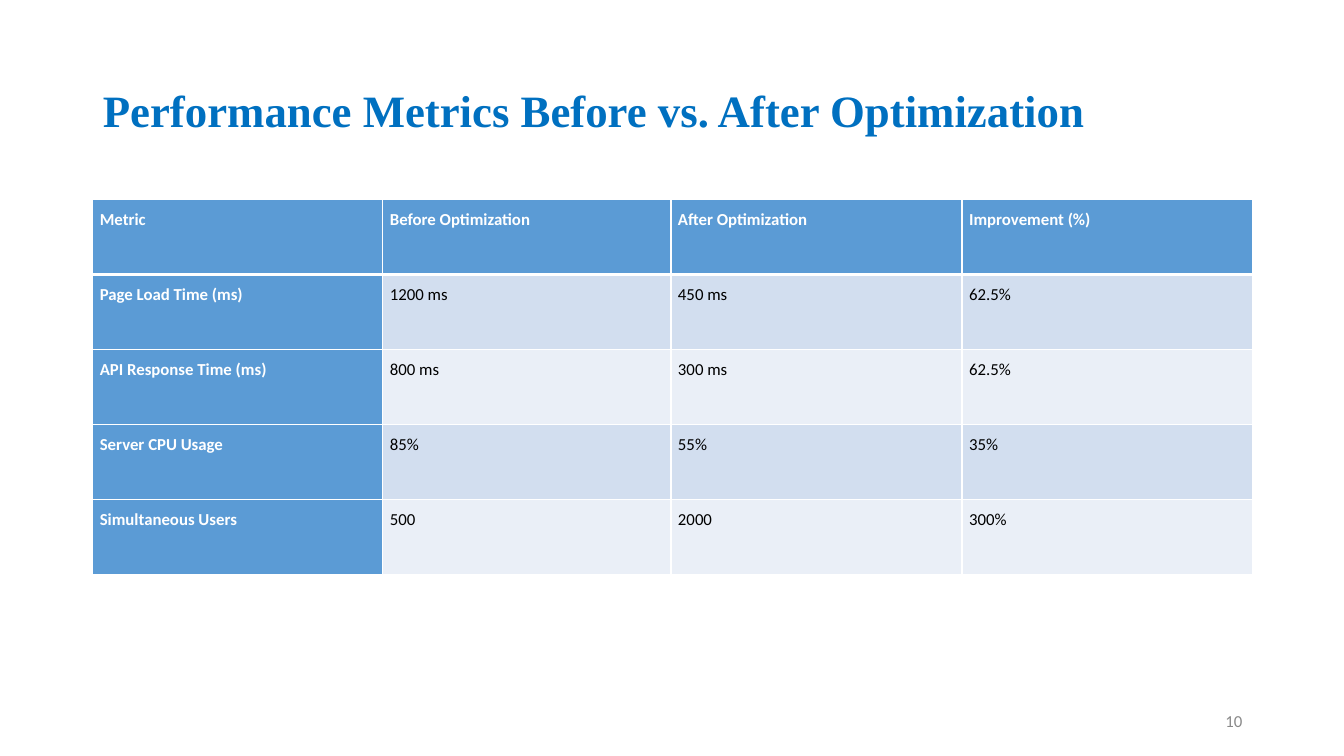
from lxml.etree import SubElement
from pptx import Presentation
from pptx.dml.color import RGBColor
from pptx.enum.text import MSO_ANCHOR as Anchor, MSO_AUTO_SIZE as AutoSize, PP_ALIGN as Align
from pptx.oxml.ns import qn
from pptx.util import Inches, Pt

BLUE, WHITE, BLACK = "5B9BD5", "FFFFFF", "000000"
BANDS = ("D2DEEF", "EAEFF7")
COLUMN_WIDTHS = (2.88, 2.86, 2.89, 2.88)
METRICS = (
    ("Metric", "Before Optimization", "After Optimization", "Improvement (%)"),
    ("Page Load Time (ms)", "1200 ms", "450 ms", "62.5%"),
    ("API Response Time (ms)", "800 ms", "300 ms", "62.5%"),
    ("Server CPU Usage", "85%", "55%", "35%"),
    ("Simultaneous Users", "500", "2000", "300%"),
)


def color(hex_code):
    return RGBColor.from_string(hex_code)


def write(frame, text, size=12, font="Calibri", ink=BLACK, bold=False,
          align=Align.LEFT, spacing=1.0, after=0):
    frame.word_wrap = True
    para = frame.paragraphs[0]
    para.alignment = align
    para.line_spacing = spacing
    para.space_before, para.space_after = Pt(0), Pt(after)
    span = para.add_run()
    span.text = text
    span.font.size, span.font.name, span.font.bold = Pt(size), font, bold
    span.font.color.rgb = color(ink)


def add_border(cell, side, width):
    line = SubElement(cell._tc.get_or_add_tcPr(), qn(f"a:{side}"), w=str(Pt(width)))
    fill = SubElement(line, qn("a:solidFill"))
    SubElement(fill, qn("a:srgbClr"), val=WHITE)


def add_title(page, left, top, width, height):
    title = page.shapes.title
    title.left, title.top = Inches(left), Inches(top)
    title.width, title.height = Inches(width), Inches(height)
    frame = title.text_frame
    frame.auto_size, frame.vertical_anchor = AutoSize.NONE, Anchor.MIDDLE
    write(frame, "Performance Metrics Before vs. After Optimization", size=32,
          font="Times New Roman", ink="0070C0", bold=True, spacing=0.9)


def format_cell(cell, text, row, column):
    is_header = row == 0 or column == 0
    cell.margin_left = cell.margin_right = Inches(0.07)
    cell.margin_top = cell.margin_bottom = 0
    write(cell.text_frame, text, ink=WHITE if is_header else BLACK,
          bold=is_header, align=Align.JUSTIFY, spacing=1.5, after=8)

    # Borders come before the fill in the cell properties
    for side in ("lnL", "lnR", "lnT", "lnB"):
        under_header = (row, side) in ((0, "lnB"), (1, "lnT"))
        add_border(cell, side, 3 if under_header else 1)
    cell.fill.solid()
    cell.fill.fore_color.rgb = color(BLUE if is_header else BANDS[(row - 1) % 2])


def add_metrics_table(page, left, top, width, height):
    table = page.shapes.add_table(
        len(METRICS), len(COLUMN_WIDTHS),
        Inches(left), Inches(top), Inches(width), Inches(height)).table
    table.first_col = True
    for column, share in zip(table.columns, COLUMN_WIDTHS):
        column.width = Inches(width * share / sum(COLUMN_WIDTHS))
    for row, values in enumerate(METRICS):
        table.rows[row].height = Inches(height / len(METRICS))
        for column, text in enumerate(values):
            format_cell(table.cell(row, column), text, row, column)


def add_page_number(page, left, top, width, height):
    box = page.shapes.add_textbox(Inches(left), Inches(top), Inches(width), Inches(height))
    box.text_frame.vertical_anchor = Anchor.MIDDLE
    write(box.text_frame, "10", ink="898989", align=Align.RIGHT)


def main():
    deck = Presentation()
    deck.slide_width, deck.slide_height = Inches(13.33), Inches(7.5)
    page = deck.slides.add_slide(deck.slide_layouts.get_by_name("Title Only"))
    left, width = 0.92, 11.5
    add_title(page, left, 0.4, width, 1.45)
    add_metrics_table(page, left, 1.98, width, 3.72)
    add_page_number(page, left + width - 3, 6.95, 3, 0.4)
    deck.save("out.pptx")


if __name__ == "__main__":
    main()
